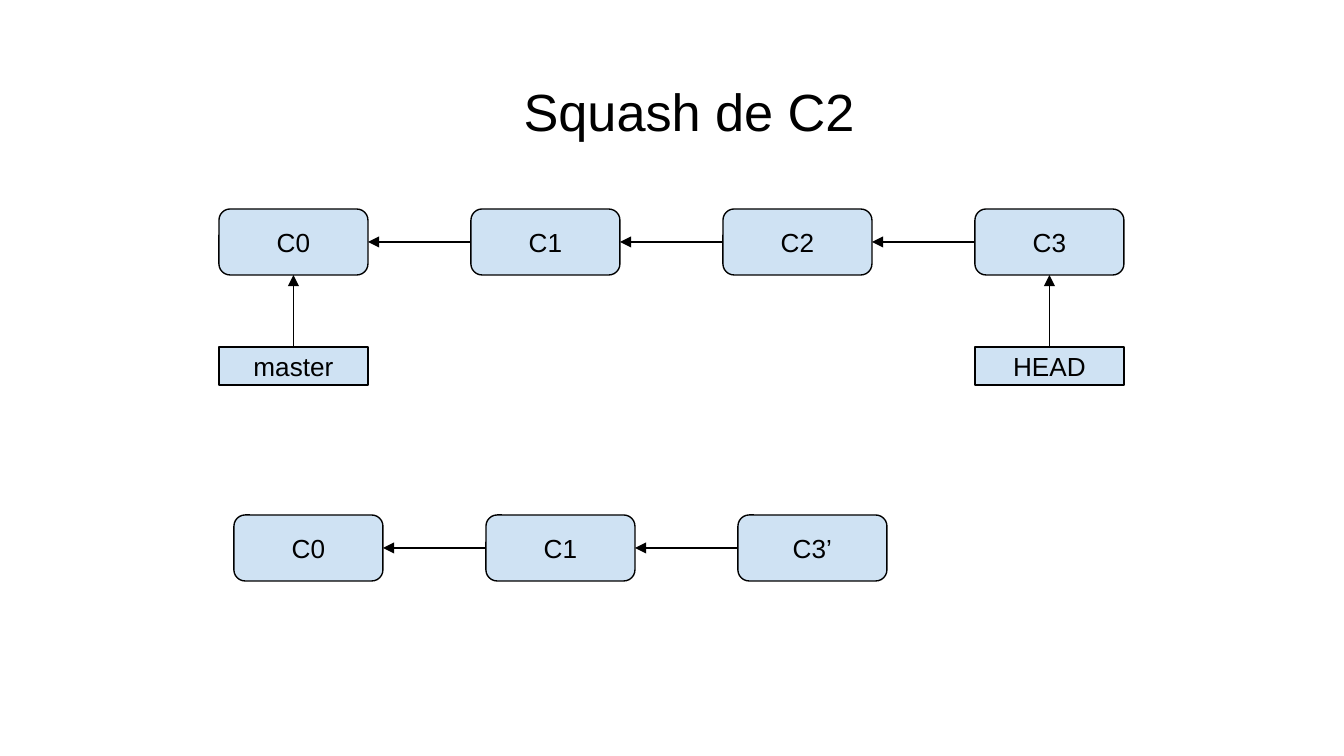
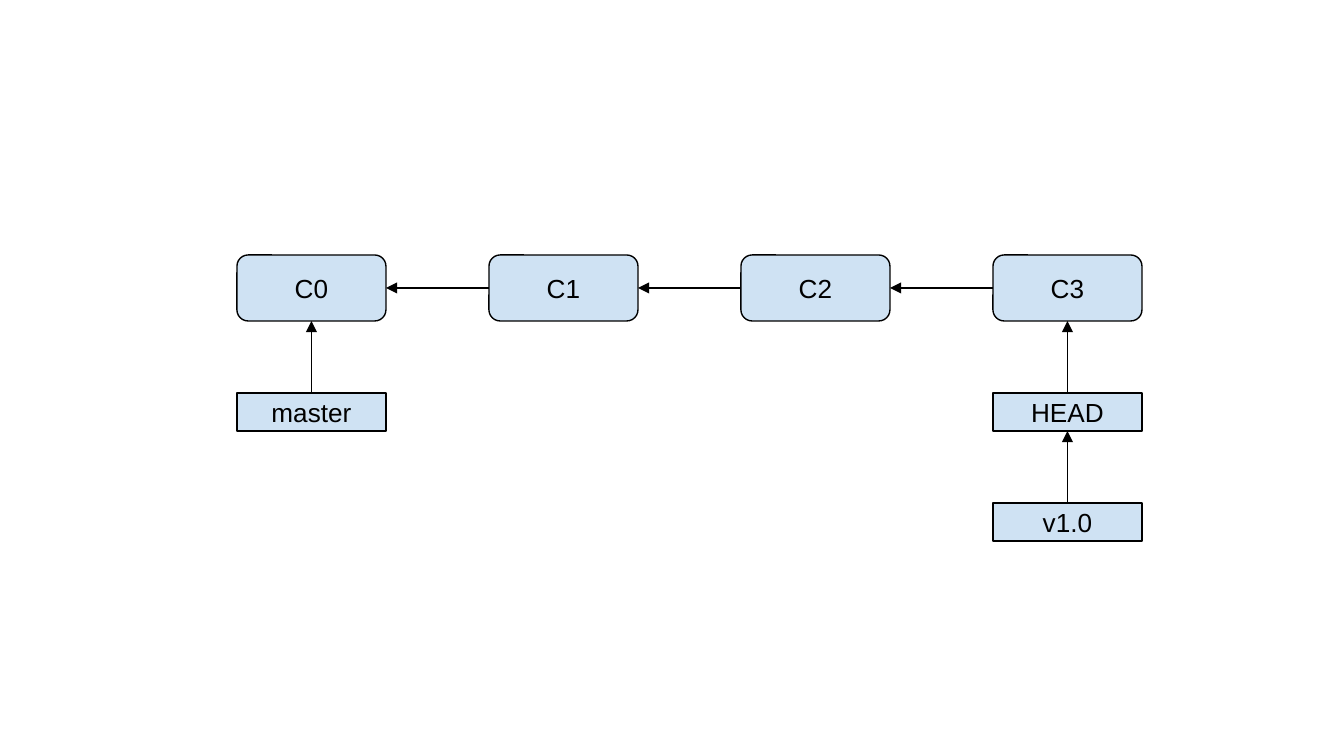
from lxml import etree
from pptx import Presentation
from pptx.dml.color import RGBColor
from pptx.enum.shapes import MSO_CONNECTOR, MSO_SHAPE
from pptx.enum.text import MSO_ANCHOR, PP_ALIGN
from pptx.oxml.ns import qn
from pptx.util import Emu, Pt

STRAIGHT = MSO_CONNECTOR.STRAIGHT
RECT = MSO_SHAPE.RECTANGLE
ROUND_RECT = MSO_SHAPE.ROUNDED_RECTANGLE
TOP, MIDDLE = MSO_ANCHOR.TOP, MSO_ANCHOR.MIDDLE
CENTER = PP_ALIGN.CENTER

EMU_PER_PX = 914400 / 134.4
FONT = "Arial"
BLACK, PALE_BLUE = "000000", "CFE2F3"
LINE_WIDTH = Pt(0.75)
INSET = 13
BOX_W, COMMIT_H, REF_H = 149, 66, 38
PITCH = 252
REF_GAP = 72
SITE_TOP, SITE_LEFT, SITE_BOTTOM, SITE_RIGHT = range(4)


def px(n):
    """Turn pixels into EMU."""
    return Emu(round(n * EMU_PER_PX))


def color(hex_code):
    """Turn a hex string into a colour."""
    return RGBColor.from_string(hex_code)


def write(s, text, size, anchor):
    """Write one centred line of text into a shape."""
    tf = s.text_frame
    tf.word_wrap = True
    tf.vertical_anchor = anchor
    tf.margin_left = tf.margin_right = px(INSET)
    tf.margin_top = tf.margin_bottom = px(INSET)
    p = tf.paragraphs[0]
    p.alignment = CENTER
    r = p.add_run()
    r.text = text
    r.font.name = FONT
    r.font.size = Pt(size)
    r.font.color.rgb = color(BLACK)


def add_title(slide, text):
    """Add the slide title."""
    s = slide.shapes.add_textbox(px(63), px(66), px(1252), px(84))
    write(s, text, 28, TOP)


def add_box(slide, kind, x, y, height, text):
    """Add a filled, outlined box with a label."""
    s = slide.shapes.add_shape(kind, px(x), px(y), px(BOX_W), px(height))
    s.shadow.inherit = False
    s.fill.solid()
    s.fill.fore_color.rgb = color(PALE_BLUE)
    s.line.color.rgb = color(BLACK)
    s.line.width = LINE_WIDTH
    write(s, text, 14, MIDDLE)
    return s


def add_arrow(slide, start, start_site, end, end_site):
    """Connect two boxes with an arrow pointing at the second."""
    c = slide.shapes.add_connector(STRAIGHT, 0, 0, 0, 0)
    c.begin_connect(start, start_site)
    c.end_connect(end, end_site)
    c.line.color.rgb = color(BLACK)
    c.line.width = LINE_WIDTH
    etree.SubElement(c.line._get_or_add_ln(), qn("a:tailEnd"), type="triangle")
    etree.SubElement(c._element.spPr, qn("a:effectLst"))


def add_history(slide, x, y, names):
    """Add a row of commits, each pointing at its parent."""
    commits = []
    for i, name in enumerate(names):
        s = add_box(slide, ROUND_RECT, x + i * PITCH, y, COMMIT_H, name)
        s.adjustments[0] = 0.17
        if commits:
            add_arrow(slide, s, SITE_LEFT, commits[-1], SITE_RIGHT)
        commits.append(s)
    return commits


def add_refs(slide, x, y, column, commit, names):
    """Stack references under a commit, each pointing at the box above."""
    target = commit
    for i, name in enumerate(names):
        top = y + COMMIT_H + REF_GAP + i * (REF_H + REF_GAP)
        s = add_box(slide, RECT, x + column * PITCH, top, REF_H, name)
        add_arrow(slide, s, SITE_TOP, target, SITE_BOTTOM)
        target = s


def add_branch(slide, x, y, head_refs):
    """Add the four-commit history with master and HEAD references."""
    commits = add_history(slide, x, y, ["C0", "C1", "C2", "C3"])
    add_refs(slide, x, y, 0, commits[0], ["master"])
    add_refs(slide, x, y, 3, commits[3], head_refs)


def add_slide(prs):
    """Add a slide on the blank layout."""
    return prs.slides.add_slide(prs.slide_layouts[6])


def main():
    """Build the squash and the tag slides."""
    prs = Presentation()
    prs.slide_width, prs.slide_height = px(1344), px(756)

    squash = add_slide(prs)
    add_title(squash, "Squash de C2")
    add_branch(squash, 219, 209, ["HEAD"])
    add_history(squash, 234, 515, ["C0", "C1", "C3’"])

    tag = add_slide(prs)
    add_branch(tag, 237, 255, ["HEAD", "v1.0"])

    prs.save("out.pptx")


if __name__ == "__main__":
    main()
